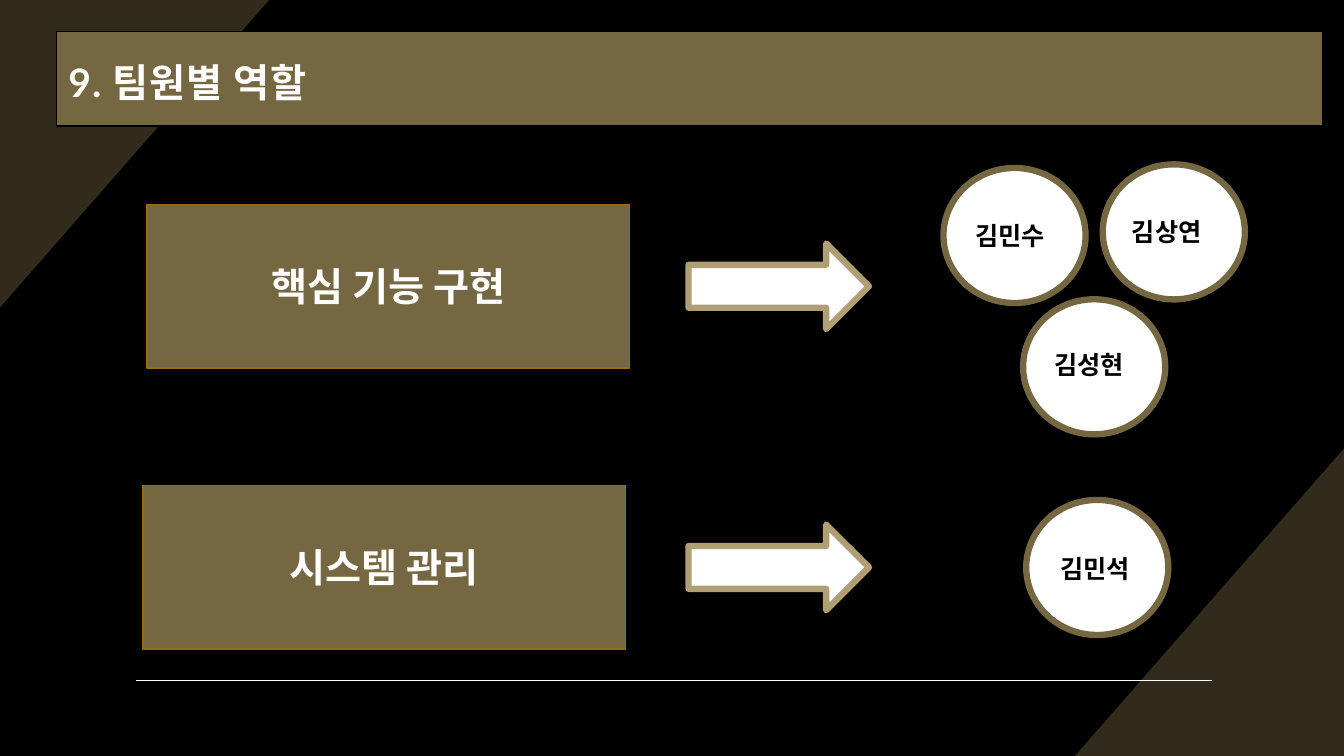
import dataclasses

import lxml.etree
import pptx
import pptx.dml.color
import pptx.enum.shapes
import pptx.enum.text
import pptx.oxml.ns
import pptx.util

Pt = pptx.util.Pt
Kind = pptx.enum.shapes.MSO_SHAPE
Align = pptx.enum.text.PP_ALIGN
Anchor = pptx.enum.text.MSO_ANCHOR

WIDTH, HEIGHT = 960, 540
BLACK, WHITE = "000000", "FFFFFF"
KHAKI, DARK_KHAKI, LIGHT_KHAKI, AMBER = "766743", "312B1C", "B09F75", "976F10"
CORNER_WIDTH, CORNER_HEIGHT = 192.2, 219.6
TASK_WIDTH, TASK_HEIGHT = 344.8, 116.6
LABEL_WIDTH, LABEL_HEIGHT = 320.4, 41.2
ARROW_LEFT, ARROW_WIDTH, ARROW_HEIGHT = 491.8, 128.9, 61.2
CIRCLE_WIDTH, CIRCLE_HEIGHT = 101.5, 96.5
NAME_WIDTH, NAME_HEIGHT = 74.9, 29.1


@dataclasses.dataclass
class Task:
    """A task box and the top of the arrow beside it."""
    label: str
    left: float
    top: float
    arrow_top: float


@dataclasses.dataclass
class Member:
    """A team member's circle and the corner of the name on it."""
    name: str
    left: float
    top: float
    name_left: float
    name_top: float


TASKS = [
    Task("핵심 기능 구현", 104.9, 146.2, 173.9),
    Task("시스템 관리", 102.2, 347, 374.7),
]
MEMBERS = [
    Member("김민수", 673.9, 120, 689.8, 154.1),
    Member("김성현", 730.8, 213.8, 745.9, 246.2),
    Member("김상연", 787.7, 117.4, 801.4, 151.2),
    Member("김민석", 733, 357.1, 750.2, 391.7),
]


def color(code: str) -> pptx.dml.color.RGBColor:
    """Turn a hex string into a colour."""
    return pptx.dml.color.RGBColor.from_string(code)


def paint(shape, fill: str, line: str = "", width: float = 1) -> None:
    """Set fill and outline, and remove the shadow."""
    shape.shadow.inherit = False
    shape.fill.solid()
    shape.fill.fore_color.rgb = color(fill)
    if line:
        shape.line.color.rgb = color(line)
        shape.line.width = Pt(width)
    else:
        shape.line.fill.background()


def add_block(page, kind, left: float, top: float, width: float, height: float,
              fill: str, line: str, line_width: float = 1) -> None:
    """Draw a preset shape."""
    shape = page.shapes.add_shape(kind, Pt(left), Pt(top), Pt(width), Pt(height))
    paint(shape, fill, line, line_width)


def add_text(page, text: str, left: float, top: float, width: float, height: float,
             size: float, ink: str, align=Align.LEFT):
    """Draw a bold one-line text box and return it."""
    box = page.shapes.add_textbox(Pt(left), Pt(top), Pt(width), Pt(height))
    box.text_frame.word_wrap = True
    box.text_frame.text = text
    para = box.text_frame.paragraphs[0]
    para.alignment = align
    font = para.runs[0].font
    font.name, font.size, font.bold = "Lato", Pt(size), True
    font.color.rgb = color(ink)
    return box


def add_corner(page, x: float, y: float, run: float, rise: float) -> None:
    """Draw a triangle with its right angle at a slide corner."""
    builder = page.shapes.build_freeform(Pt(x), Pt(y + rise))
    builder.add_line_segments([(Pt(x), Pt(y)), (Pt(x + run), Pt(y))], close=True)
    paint(builder.convert_to_shape(), DARK_KHAKI)


def add_rule(page, left: float, right: float, y: float) -> None:
    """Draw the thin white line at the foot of the slide."""
    rule = page.shapes.add_connector(
        pptx.enum.shapes.MSO_CONNECTOR.STRAIGHT, Pt(left), Pt(y), Pt(right), Pt(y))
    rule.line.color.rgb = color(WHITE)
    rule.line.width = Pt(1)
    lxml.etree.SubElement(rule._element.spPr, pptx.oxml.ns.qn("a:effectLst"))


def add_title(page, text: str) -> None:
    """Draw the title bar and its text."""
    add_block(page, Kind.RECTANGLE, 40.3, 22.5, 904.3, 67.5, KHAKI, BLACK)
    box = add_text(page, text, 40.3, 30.2, 779.8, 51.8, 28, WHITE)
    frame = box.text_frame
    frame.vertical_anchor = Anchor.MIDDLE
    frame.margin_left = frame.margin_right = frame.margin_top = Pt(8.6)
    frame.margin_bottom = Pt(7.2)
    para = frame.paragraphs[0]
    para.line_spacing = 1.1
    para.runs[0].font._element.set("spc", "70")


def add_task(page, task: Task) -> None:
    """Draw a task box with its label in the middle."""
    add_block(page, Kind.RECTANGLE, task.left, task.top, TASK_WIDTH, TASK_HEIGHT, KHAKI, AMBER)
    add_text(page, task.label, task.left + (TASK_WIDTH - LABEL_WIDTH) / 2,
             task.top + (TASK_HEIGHT - LABEL_HEIGHT) / 2,
             LABEL_WIDTH, LABEL_HEIGHT, 28, WHITE, Align.CENTER)


def main() -> None:
    """Build the slide and save it."""
    deck = pptx.Presentation()
    deck.slide_width, deck.slide_height = Pt(WIDTH), Pt(HEIGHT)
    page = deck.slides.add_slide(deck.slide_layouts[6])
    page.background.fill.solid()
    page.background.fill.fore_color.rgb = color(BLACK)

    add_corner(page, WIDTH, HEIGHT, -CORNER_WIDTH, -CORNER_HEIGHT)
    add_corner(page, 0, 0, CORNER_WIDTH, CORNER_HEIGHT)
    add_rule(page, 97.2, 865.4, 486)
    add_title(page, "9. 팀원별 역할")
    for task in TASKS:
        add_task(page, task)
    for task in reversed(TASKS):
        add_block(page, Kind.RIGHT_ARROW, ARROW_LEFT, task.arrow_top,
                  ARROW_WIDTH, ARROW_HEIGHT, WHITE, LIGHT_KHAKI, 4.5)
    for member in MEMBERS:
        add_block(page, Kind.OVAL, member.left, member.top,
                  CIRCLE_WIDTH, CIRCLE_HEIGHT, WHITE, KHAKI, 4.5)
    for member in MEMBERS:
        add_text(page, member.name, member.name_left, member.name_top,
                 NAME_WIDTH, NAME_HEIGHT, 18, BLACK)
    deck.save("out.pptx")


main()
